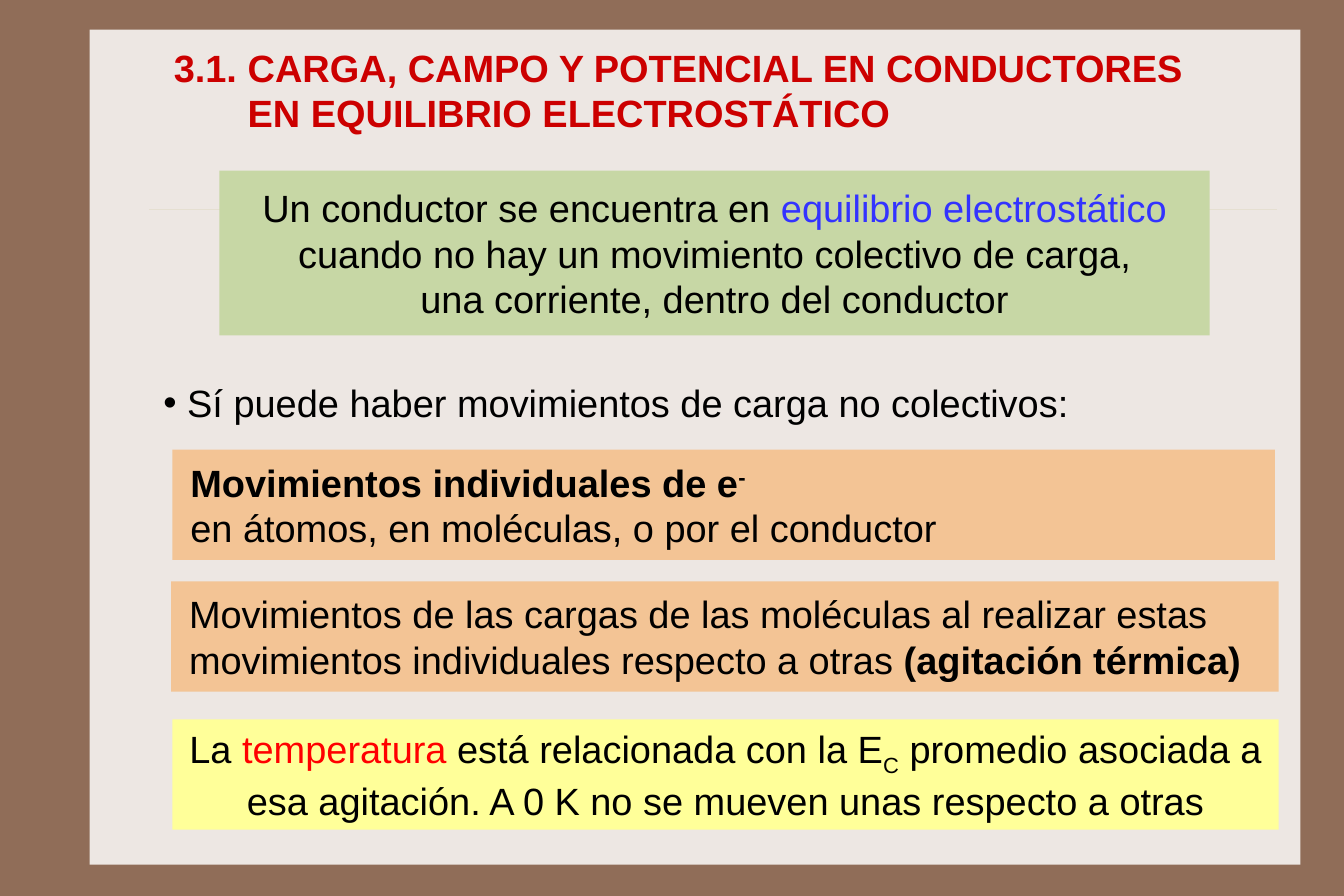
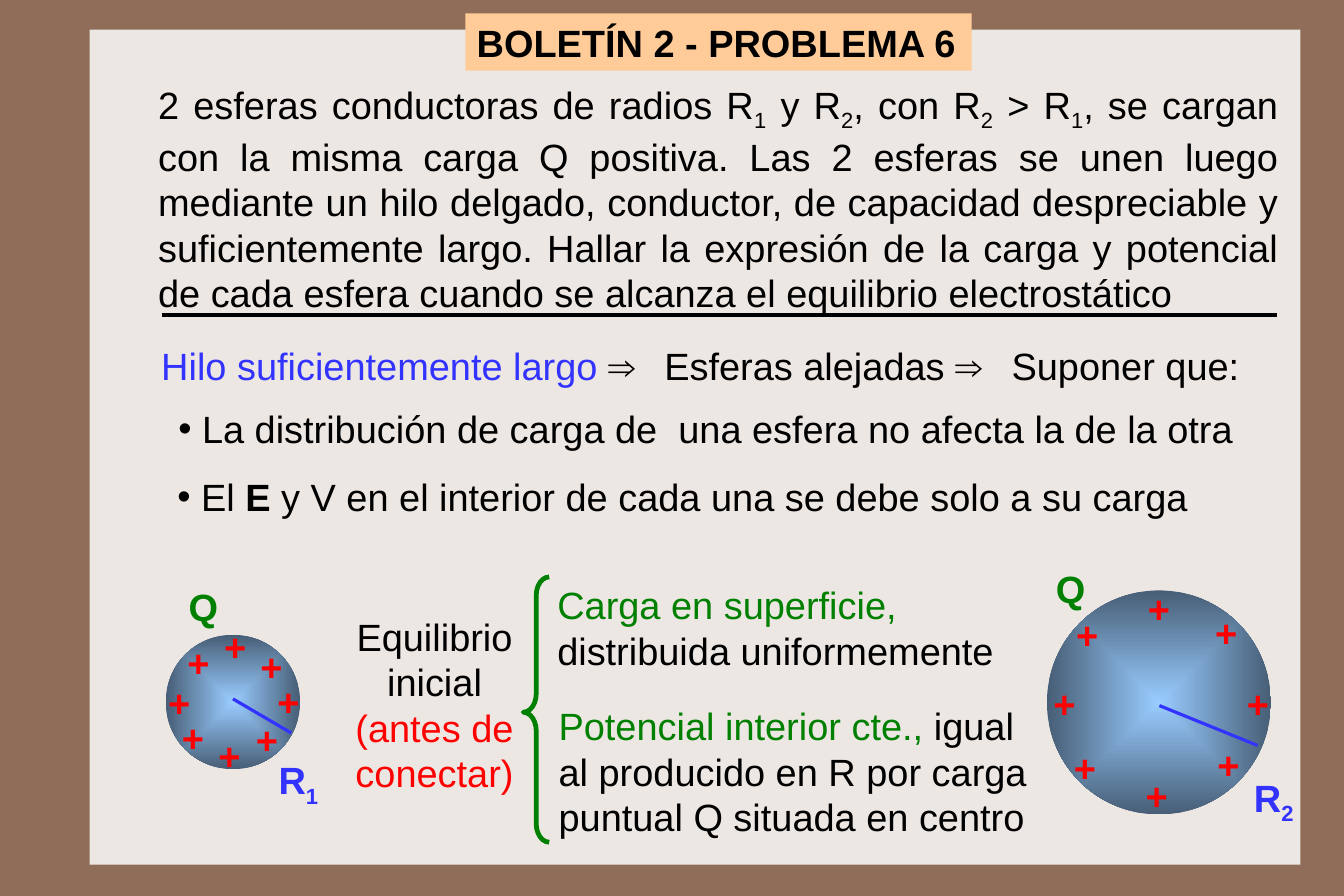
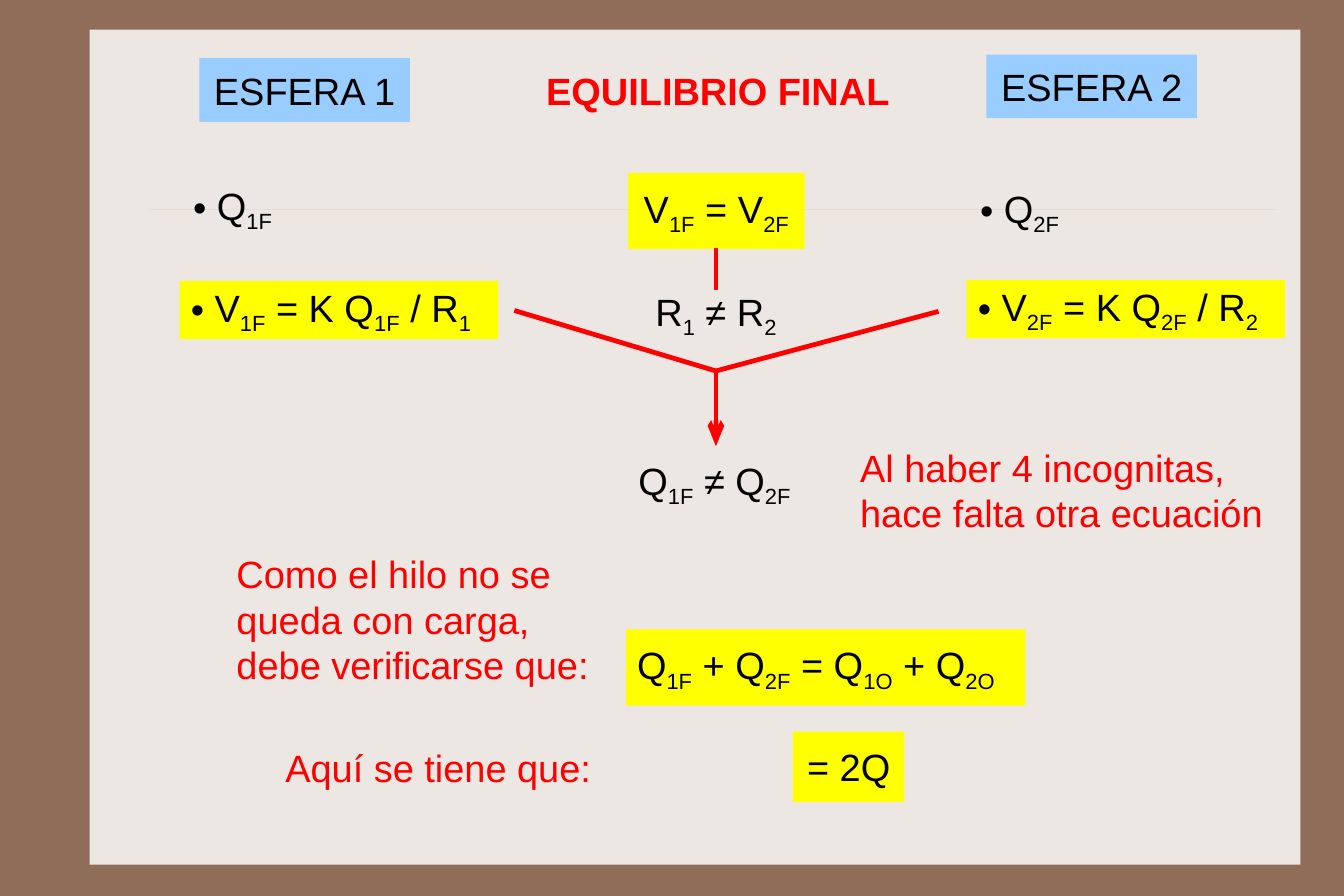
from pptx import Presentation
from pptx.dml.color import RGBColor as Rgb
from pptx.enum.shapes import MSO_CONNECTOR as Link, MSO_SHAPE as Kind
from pptx.enum.text import MSO_ANCHOR as Anchor, PP_ALIGN as Align
from pptx.oxml.ns import qn
from pptx.util import Cm, Pt
from lxml.etree import SubElement as Sub

HUES = {
    "brown": "906D58", "paper": "EDE7E3", "rule": "E5DFD1", "black": "000000",
    "title": "CC0000", "red": "FF0000", "blue": "3333FF", "green": "008000",
    "sage": "C7D7A5", "orange": "F3C495", "cream": "FFFF99", "peach": "FFCC99",
    "yellow": "FFFF00", "sky": "99CCFF", "steel": "475E76",
}
FONT, SIZE = "Arial", 24
HANG = {"bullet": 0.53, "number": 1.65}

STATE = [
    ((3.63, 0.84, 24, 2.34), ["3.1.\tCARGA, CAMPO Y POTENCIAL EN CONDUCTORES EN EQUILIBRIO ELECTROSTÁTICO"],
     dict(hue="title", bold=True, hang="number")),
    ((4.9, 3.81, 22.1, 3.68), [
        ["Un conductor se encuentra en ", ("equilibrio electrostático", "blue")],
        "cuando no hay un movimiento colectivo de carga,",
        "una corriente, dentro del conductor"], dict(fill="sage", align="CENTER")),
    ((3.4, 8.28, 21.1, 1.42), ["Sí puede haber movimientos de carga no colectivos:"], dict(hang="bullet")),
    ((3.85, 10.04, 24.61, 2.46), [
        [("Movimientos individuales de e", "bold"), ("-", "bold sup")],
        "en átomos, en moléculas, o por el conductor"], dict(fill="orange", pad=0.4)),
    ((3.82, 12.98, 24.72, 2.46), [
        ["Movimientos de las cargas de las moléculas al realizar estas movimientos "
         "individuales respecto a otras ", ("(agitación térmica)", "bold")]],
     dict(fill="orange", pad=0.4)),
    ((3.85, 16.06, 24.69, 2.46), [
        ["La ", ("temperatura", "red"), " está relacionada con la E~C~ promedio asociada a "
         "esa agitación. A 0 K no se mueven unas respecto a otras"]],
     dict(fill="cream", align="CENTER")),
]

TASK = [
    ((3.28, 1.68, 25.5, 5.49), [
        "2 esferas conductoras de radios R~1~ y R~2~, con R~2~ > R~1~, se cargan con la misma "
        "carga Q positiva. Las 2 esferas se unen luego mediante un hilo delgado, conductor, de "
        "capacidad despreciable y suficientemente largo. Hallar la expresión de la carga y "
        "potencial de cada esfera cuando se alcanza el equilibrio electrostático"],
     dict(align="JUSTIFY")),
    ((10.39, 0.3, 11.3, 1.28), ["BOLETÍN 2 - PROBLEMA 6"], dict(fill="peach", bold=True)),
    ((3.35, 7.5, 11.43, 1.29), [[("Hilo suficientemente largo ", "blue"), "⇒"]], {}),
    ((14.58, 7.5, 7.9, 1.29), ["Esferas alejadas ⇒"], {}),
    ((22.33, 7.5, 5.8, 1.29), ["Suponer que:"], {}),
    ((3.73, 8.82, 24.8, 1.5), ["La distribución de carga de  una esfera no afecta la de la otra"],
     dict(hang="bullet")),
    ((3.71, 10.34, 24.2, 1.5), [
        ["El ", ("E", "bold"), " y V en el interior de cada una se debe solo a su carga"]],
     dict(hang="bullet")),
    ((7.67, 13.54, 4.06, 4.37), [["Equilibrio inicial ", ("(antes de conectar)", "red")]],
     dict(align="CENTER")),
    ((12.19, 12.85, 10.59, 2.31), [
        [("Carga en superficie,", "green"), " distribuida uniformemente"]], {}),
    ((12.22, 15.54, 11.07, 3.35), [
        [("Potencial interior cte.,", "green"),
         " igual al producido en R por carga puntual Q situada en centro"]], {}),
]

BALLS = [
    dict(at=(3.7, 14.17, 3), charge=(3.96, 12.9), name=("R~1~", 5.97, 16.76),
         ray=(5.2, 15.6, 6.5, 16.36),
         plus=[(5.25, 14.43), (6.06, 14.88), (6.44, 15.65), (5.96, 16.51),
               (5.12, 16.87), (4.31, 16.46), (4, 15.67), (4.43, 14.78)]),
    dict(at=(23.37, 13.18, 5), charge=(23.32, 12.5), name=("R~2~", 27.74, 17.15),
         ray=(25.88, 15.75, 28.07, 16.64),
         plus=[(25.87, 13.59), (27.37, 14.12), (28.08, 15.7), (27.42, 17.07),
               (25.82, 17.75), (24.22, 17.12), (23.76, 15.7), (24.27, 14.17)]),
]

FINAL = [
    ((11.86, 1.3, 8.33, 1.42), ["EQUILIBRIO FINAL"], dict(hue="red", bold=True, align="CENTER")),
    ((14.02, 3.86, 3.94, 1.7), ["V~1F~ = V~2F~"], dict(fill="yellow", align="CENTER")),
    ((14.38, 6.3, 3.4, 1.42), ["R~1~ ≠ R~2~"], {}),
    ((14, 10.08, 4.2, 1.42), ["Q~1F~ ≠ Q~2F~"], {}),
    ((18.95, 9.78, 9.7, 2.31), ["Al haber 4 incognitas, hace falta otra ecuación"], dict(hue="red")),
    ((5.03, 12.17, 8.74, 3.3), ["Como el hilo no se queda con carga, debe verificarse que:"],
     dict(hue="red")),
    ((13.97, 14.05, 8.92, 1.7), ["Q~1F~ + Q~2F~ = Q~1O~ + Q~2O~"], dict(fill="yellow")),
    ((6.12, 16.5, 11, 1.27), ["Aquí se tiene que:"], dict(hue="red")),
    ((17.7, 16.33, 2.49, 1.57), ["= 2Q"], dict(fill="yellow", align="CENTER")),
]
SIDES = [(1, 0, (1.3, 3.94, 6.27)), (2, 17.57, (1.22, 4, 6.25))]
JOINT = (15.98, 8.28)
PATHS = [(20.95, 6.95), (11.48, 6.93)]


def tone(name):
    return Rgb.from_string(HUES[name])


def shape(page, kind, at, fill=None):
    item = page.shapes.add_shape(kind, *map(Cm, at))
    item.shadow.inherit = False
    item.line.fill.background()
    if fill:
        item.fill.solid()
        item.fill.fore_color.rgb = tone(fill)
    else:
        item.fill.background()
    return item


def line(page, ends, hue, width, head=False):
    item = page.shapes.add_connector(Link.STRAIGHT, *map(Cm, ends))
    item.line.color.rgb = tone(hue)
    item.line.width = Pt(width)
    if head:
        Sub(item.line._get_or_add_ln(), qn("a:tailEnd"), type="arrow", len="lg")
    Sub(item.element.spPr, qn("a:effectLst"))


def indent(para, hang):
    props = para._p.get_or_add_pPr()
    step = Cm(HANG[hang])
    props.set("marL", str(step))
    props.set("indent", str(-step))
    if hang == "bullet":
        Sub(props, qn("a:buFont"), typeface=FONT)
        Sub(props, qn("a:buChar"), char="•")
    else:
        Sub(props, qn("a:buNone"))
        Sub(Sub(props, qn("a:tabLst")), qn("a:tab"), pos=str(step), algn="l")


def add_run(para, text, style, base):
    run = para.add_run()
    run.text = text
    for word in style.split():
        if word == "bold":
            run.font.bold = True
        elif word == "sup":
            base = 30000
        else:
            run.font.color.rgb = tone(word)
    if base:
        run._r.get_or_add_rPr().set("baseline", str(base))


def box(page, at, text, fill=None, hue="black", bold=False, align="LEFT", pad=0.25, hang=None):
    if fill:
        item = shape(page, Kind.RECTANGLE, at, fill)
    else:
        item = page.shapes.add_textbox(*map(Cm, at))
    frame = item.text_frame
    frame.word_wrap = True
    frame.vertical_anchor = Anchor.MIDDLE
    frame.margin_left = Cm(pad)
    frame.margin_right = Cm(min(pad, 0.25))
    frame.margin_top = frame.margin_bottom = Cm(0.13)
    for i, runs in enumerate(text):
        para = frame.add_paragraph() if i else frame.paragraphs[0]
        para.alignment = getattr(Align, align)
        if hang:
            indent(para, hang)
        font = para.font
        font.name, font.size, font.bold = FONT, Pt(SIZE), bold
        font.color.rgb = tone(hue)
        for run in [runs] if isinstance(runs, str) else runs:
            words, style = (run, "") if isinstance(run, str) else run
            for j, part in enumerate(words.split("~")):
                if part:
                    add_run(para, part, style, -25000 * (j % 2))


def fill_page(page, rows):
    for at, text, opts in rows:
        box(page, at, text, **opts)


def ball(page, at, charge, name, ray, plus):
    left, top, size = at
    item = shape(page, Kind.OVAL, (left, top, size, size))
    item.fill.gradient()
    for stop, hue in zip(item.fill.gradient_stops, ("sky", "steel")):
        stop.color.rgb = tone(hue)
    grad = item.element.spPr.find(qn("a:gradFill"))
    grad.remove(grad.find(qn("a:lin")))
    way = Sub(grad, qn("a:path"), path="shape")
    Sub(way, qn("a:fillToRect"), l="50000", t="50000", r="50000", b="50000")
    for x, y in plus:
        box(page, (x - 0.5, y - 0.64, 1, 1.28), ["+"], hue="red", bold=True, align="CENTER", pad=0)
    box(page, (*charge, 1.3, 1.28), ["Q"], hue="green", bold=True)
    line(page, ray, "blue", 2)
    text, x, y = name
    box(page, (x, y, 1.6, 1.42), [text], hue="blue", bold=True)


def share(deck, layout, page):
    back = deck.slide_master.background.fill
    back.solid()
    back.fore_color.rgb = tone("brown")
    paper = shape(page, Kind.RECTANGLE, (2, 0.66, 27.03, 18.64), "paper")
    layout.shapes.element.append(paper.element)


def main():
    deck = Presentation()
    deck.slide_width, deck.slide_height = Cm(30), Cm(20)
    layout = deck.slide_layouts[6]
    state, task, final = [deck.slides.add_slide(layout) for _ in range(3)]
    share(deck, layout, state)
    for page in (state, final):
        line(page, (3.33, 4.67, 28.5, 4.67), "rule", 0.75)

    fill_page(state, STATE)

    for data in BALLS:
        ball(task, **data)
    fill_page(task, TASK)
    line(task, (3.61, 7.03, 28.5, 7.03), "black", 2)
    brace = shape(task, Kind.LEFT_BRACE, (11.68, 12.88, 0.58, 5.92))
    brace.adjustments[0], brace.adjustments[1] = 0.71, 0.51
    brace.line.color.rgb = tone("green")
    brace.line.width = Pt(3)

    fill_page(final, FINAL)
    for n, dx, (head, charge, volt) in SIDES:
        box(final, (4.45 + dx, head, 4.7, 1.42), [f"ESFERA {n}"], fill="sky", align="CENTER")
        box(final, (4.06 + dx, charge, 2.6, 1.42), [f"Q~{n}F~"], hang="bullet")
        box(final, (4.01 + dx, volt, 7.11, 1.3), [f"V~{n}F~ = K Q~{n}F~ / R~{n}~"],
            fill="yellow", hang="bullet")
    for start in PATHS:
        line(final, (*start, *JOINT), "red", 3)
    x, y = JOINT
    line(final, (x, y, x, 9.96), "red", 3, head=True)
    line(final, (x, 5.54, x, 6.48), "red", 3)

    deck.save("out.pptx")


if __name__ == "__main__":
    main()
